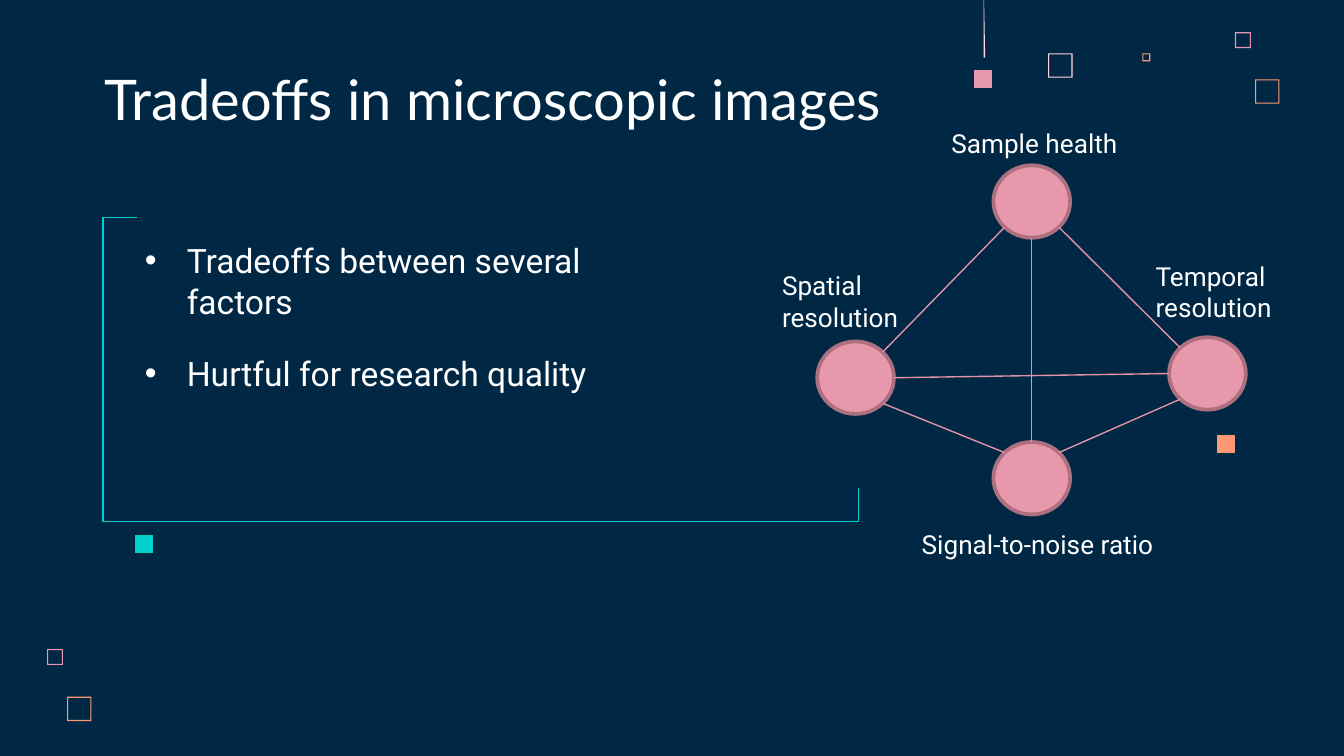
"""Build the slide on tradeoffs in microscopic images."""
from dataclasses import dataclass
from math import cos, radians, sin

from lxml import etree
from pptx import Presentation
from pptx.dml.color import RGBColor
from pptx.enum.shapes import MSO_CONNECTOR, MSO_SHAPE
from pptx.enum.text import MSO_ANCHOR, MSO_AUTO_SIZE, PP_ALIGN
from pptx.oxml.ns import qn
from pptx.util import Cm, Pt

STRAIGHT, ELBOW = MSO_CONNECTOR.STRAIGHT, MSO_CONNECTOR.ELBOW
OVAL = MSO_SHAPE.OVAL
TOP, BOTTOM = MSO_ANCHOR.TOP, MSO_ANCHOR.BOTTOM
LEFT = PP_ALIGN.LEFT
NO_AUTOFIT = MSO_AUTO_SIZE.NONE


@dataclass(frozen=True)
class Theme:
    night: str = "002845"
    white: str = "FFFFFF"
    blush: str = "FFD6E1"
    pink: str = "E898AC"
    mauve: str = "AC707F"
    rose: str = "E593A7"
    orange: str = "FF9973"
    teal: str = "00CFCC"
    heading_font: str = "Lato"
    text_font: str = "Roboto"
    title_size: int = 30
    body_size: int = 18
    label_size: int = 14


theme = Theme()
deck = Presentation()
deck.slide_width, deck.slide_height = Cm(25.4), Cm(14.29)
slide = deck.slides.add_slide(deck.slide_layouts[1])
slide.background.fill.solid()
slide.background.fill.fore_color.rgb = RGBColor.from_string(theme.night)
shapes = slide.shapes


def outline(contours, color):
    """Draw a filled outline from one or more closed contours in cm."""
    builder = None
    for contour in contours:
        start, *rest = [(Cm(x), Cm(y)) for x, y in contour]
        if builder is None:
            builder = shapes.build_freeform(*start)
        else:
            builder.move_to(*start)
        builder.add_line_segments(rest, close=True)
    figure = builder.convert_to_shape()
    figure.shadow.inherit = False
    figure.fill.solid()
    figure.fill.fore_color.rgb = RGBColor.from_string(color)
    figure.line.fill.background()


def write(holder, box, lines, font, size, anchor=TOP):
    """Place a text holder at a box in cm and fill it with paragraphs."""
    holder.left, holder.top, holder.width, holder.height = map(Cm, box)
    frame = holder.text_frame
    frame.word_wrap, frame.auto_size = True, NO_AUTOFIT
    frame.vertical_anchor = anchor
    frame.margin_left = frame.margin_right = Cm(0.25)
    frame.margin_top = frame.margin_bottom = Cm(0.25)
    for index, line in enumerate(lines):
        paragraph = frame.add_paragraph() if index else frame.paragraphs[0]
        paragraph.alignment = LEFT
        paragraph.space_before = Pt(17 if index else 0)
        run = paragraph.add_run()
        run.text = line
        run.font.name, run.font.size = font, Pt(size)
        run.font.color.rgb = RGBColor.from_string(theme.white)


write(shapes.title, (1.73, 1.14, 17.09, 1.6), ["Tradeoffs in microscopic images"],
      theme.heading_font, theme.title_size, BOTTOM)

factors = slide.placeholders[1]
write(factors, (2.49, 4.29, 10.21, 4.06),
      ["Tradeoffs between several factors", "Hurtful for research quality"],
      theme.text_font, theme.body_size)
for paragraph in factors.text_frame.paragraphs:
    properties = paragraph._p.get_or_add_pPr()
    properties.set("marL", str(Cm(0.79)))
    properties.set("indent", str(-Cm(0.79)))
    bullet_color = etree.SubElement(properties, qn("a:buClr"))
    etree.SubElement(bullet_color, qn("a:srgbClr"), val=theme.white)
    etree.SubElement(properties, qn("a:buFont"), typeface="Arial")
    etree.SubElement(properties, qn("a:buChar"), char="•")

rim = 0.02
for x, y, side, color in [
    (19.81, 1.01, 0.46, theme.blush),
    (23.34, 0.61, 0.3, theme.pink),
    (21.59, 1.01, 0.15, theme.orange),
    (23.72, 1.5, 0.46, theme.orange),
    (0.89, 12.27, 0.3, theme.pink),
    (1.27, 13.17, 0.46, theme.orange),
]:
    right, bottom = x + side, y + side
    outline([
        [(right - rim, y + rim), (right - rim, bottom - rim),
         (x + rim, bottom - rim), (x + rim, y + rim)],
        [(x, y), (x, bottom), (right, bottom), (right, y)],
    ], color)

dot = 0.34
for x, y, color in [
    (18.41, 1.32, theme.pink),
    (2.56, 10.11, theme.teal),
    (23.01, 8.23, theme.orange),
]:
    outline([[(x, y), (x, y + dot), (x + dot, y + dot), (x + dot, y)]], color)
outline([[(18.59, -0.46), (18.59, 1.09), (18.62, 1.09)]], theme.blush)

bracket = shapes.add_connector(ELBOW, Cm(16.23), Cm(9.22), Cm(2.59), Cm(4.11))
bracket._element.spPr.find(qn("a:xfrm")).set("rot", "10800000")
bend = bracket._element.spPr.find(qn("a:prstGeom"))
bend.set("prst", "bentConnector4")
adjustments = bend.find(qn("a:avLst"))
for name, value in [("adj1", -4700), ("adj2", 112500)]:
    etree.SubElement(adjustments, qn("a:gd"), name=name, fmla=f"val {value}")
strokes = [(bracket, theme.teal)]

node_width, node_height = 1.45, 1.37
centers = {
    "sample": (19.5, 3.81),
    "spatial": (16.17, 7.14),
    "temporal": (22.82, 7.06),
    "signal": (19.5, 9.04),
}
for x, y in centers.values():
    node = shapes.add_shape(OVAL, Cm(x - node_width / 2), Cm(y - node_height / 2),
                            Cm(node_width), Cm(node_height))
    node.shadow.inherit = False
    node.fill.solid()
    node.fill.fore_color.rgb = RGBColor.from_string(theme.pink)
    node.line.color.rgb = RGBColor.from_string(theme.mauve)
    node.line.width = Pt(2)

for start, end, angle in [
    ("sample", "temporal", 45),
    ("sample", "spatial", 135),
    ("sample", "signal", 90),
    ("temporal", "signal", 135),
    ("spatial", "signal", 45),
    ("spatial", "temporal", 0),
]:
    reach_x = cos(radians(angle)) * node_width / 2
    reach_y = sin(radians(angle)) * node_height / 2
    (x1, y1), (x2, y2) = centers[start], centers[end]
    edge = shapes.add_connector(STRAIGHT, Cm(x1 + reach_x), Cm(y1 + reach_y),
                                Cm(x2 - reach_x), Cm(y2 - reach_y))
    strokes.append((edge, theme.rose))

for stroke, color in strokes:
    stroke.line.color.rgb = RGBColor.from_string(color)
    stroke.line.width = Pt(0.75)
    etree.SubElement(stroke._element.spPr, qn("a:effectLst"))

for factor, box in [
    ("Sample health", (17.73, 2.16, 4.29, 0.89)),
    ("Temporal resolution", (21.59, 4.67, 3.81, 1.73)),
    ("Spatial resolution", (14.53, 4.85, 2.74, 1.75)),
    ("Signal-to-noise ratio", (17.17, 9.73, 5.99, 0.89)),
]:
    write(shapes.add_textbox(*map(Cm, box)), box, [factor],
          theme.text_font, theme.label_size)

deck.save("out.pptx")
